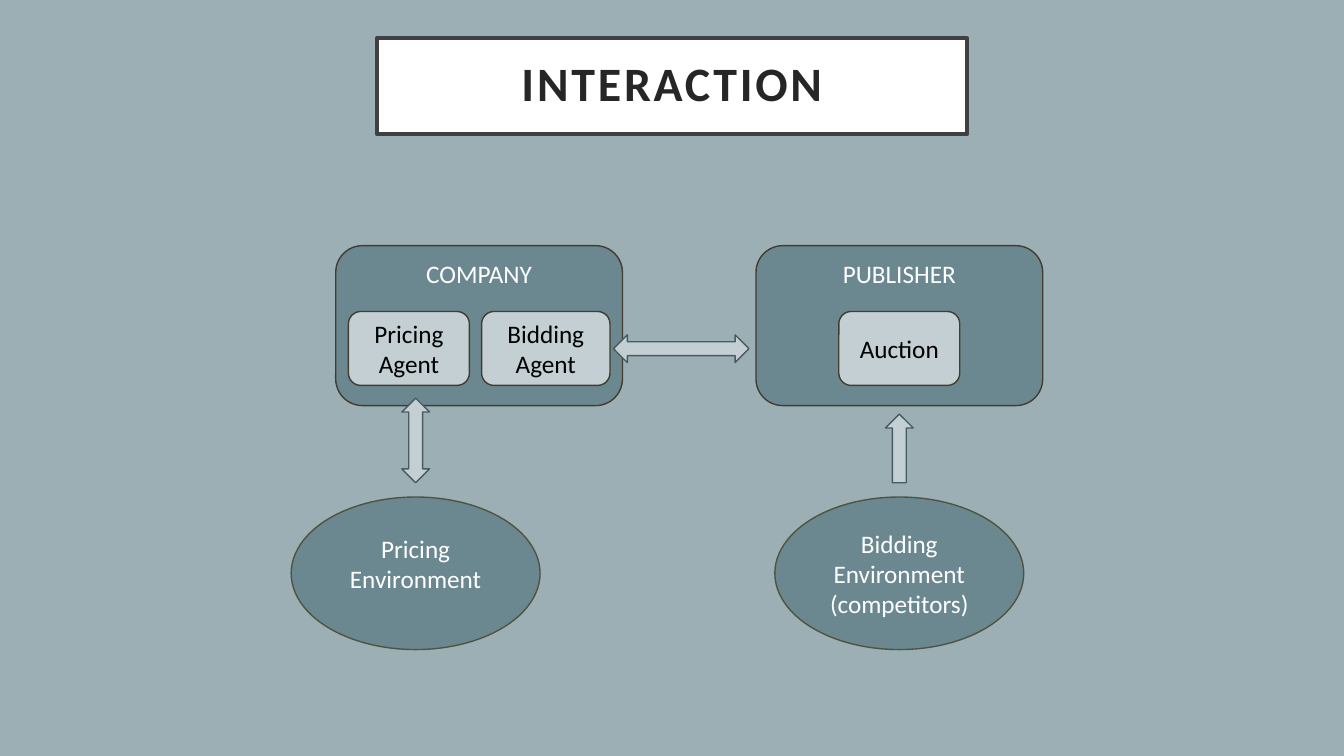
from pptx import Presentation
from pptx.dml.color import RGBColor
from pptx.enum import shapes, text
from pptx.util import Pt

SHAPE = shapes.MSO_SHAPE
ANCHOR = text.MSO_ANCHOR
MID_TEAL, PALE_TEAL = "6B8891", "C3CFD3"
BROWN, OLIVE, SLATE = "443C2E", "50543F", "475B61"


def paint(shape, fill, line, width=1):
    shape.fill.solid()
    shape.fill.fore_color.rgb = RGBColor.from_string(fill)
    shape.line.color.rgb = RGBColor.from_string(line)
    shape.line.width = Pt(width)


def add_node(kind, box, fill, line, label="", color="FFFFFF", anchor=ANCHOR.MIDDLE):
    """Add a shape at box (left, top, width, height in points) with a centred label."""
    node = slide.shapes.add_shape(kind, *map(Pt, box))
    node.shadow.inherit = False
    paint(node, fill, line)
    frame = node.text_frame
    frame.word_wrap = True
    frame.vertical_anchor = anchor
    if label:
        frame.text = label
        for paragraph in frame.paragraphs:
            paragraph.alignment = text.PP_ALIGN.CENTER
            font = paragraph.runs[0].font
            font.name, font.size = "Calibri", Pt(18)
            font.color.rgb = RGBColor.from_string(color)
    return node


deck = Presentation()
deck.slide_width, deck.slide_height = Pt(960), Pt(540)
slide = deck.slides.add_slide(deck.slide_layouts[5])
slide.background.fill.solid()
slide.background.fill.fore_color.rgb = RGBColor.from_string("9BAFB5")

# Title
title = slide.shapes.title
title.left, title.top, title.width, title.height = Pt(269.3), Pt(27.4), Pt(421.4), Pt(68.4)
paint(title, "FFFFFF", "404040", 3)
heading = title.text_frame
heading.text = "INTERACTION"
heading.auto_size = text.MSO_AUTO_SIZE.NONE
heading.vertical_anchor = ANCHOR.MIDDLE
heading.margin_left = heading.margin_right = Pt(21.6)
heading.margin_top = heading.margin_bottom = Pt(14.4)
heading.paragraphs[0].alignment = text.PP_ALIGN.CENTER
heading.paragraphs[0].line_spacing = 0.9
heading_run = heading.paragraphs[0].runs[0]
heading_run.font.name, heading_run.font.size = "Calibri", Pt(34.2)
heading_run.font.bold = True
heading_run.font.color.rgb = RGBColor.from_string("262626")
heading_run._r.get_or_add_rPr().set("spc", "200")

# Parties
for party, left in (("COMPANY", 239.8), ("PUBLISHER", 540)):
    add_node(SHAPE.ROUNDED_RECTANGLE, (left, 175.5, 204.8, 114.2), MID_TEAL, BROWN,
             party, anchor=ANCHOR.TOP)

# Agents and auction inside the parties
for role, left, width in (("Pricing Agent", 248.9, 86.4),
                          ("Bidding Agent", 344, 91.7),
                          ("Auction", 599.2, 86.4)):
    add_node(SHAPE.ROUNDED_RECTANGLE, (left, 222.5, width, 52.8), PALE_TEAL, BROWN,
             role, "000000")

# Environments
environments = [add_node(SHAPE.OVAL, (left, 355, 177.8, 109), MID_TEAL, OLIVE, label)
                for label, left in (("Pricing Environment", 208),
                                    ("Bidding Environment\n(competitors)", 553.5))]
environments[0].text_frame.margin_bottom = Pt(18)

# Exchanges
for arrow, box in ((SHAPE.UP_DOWN_ARROW, (287, 284.4, 19.8, 60.4)),
                   (SHAPE.LEFT_RIGHT_ARROW, (438.2, 239.2, 96.8, 19.8)),
                   (SHAPE.UP_ARROW, (632.5, 295.8, 19.8, 49))):
    add_node(arrow, box, PALE_TEAL, SLATE)

deck.save("out.pptx")
